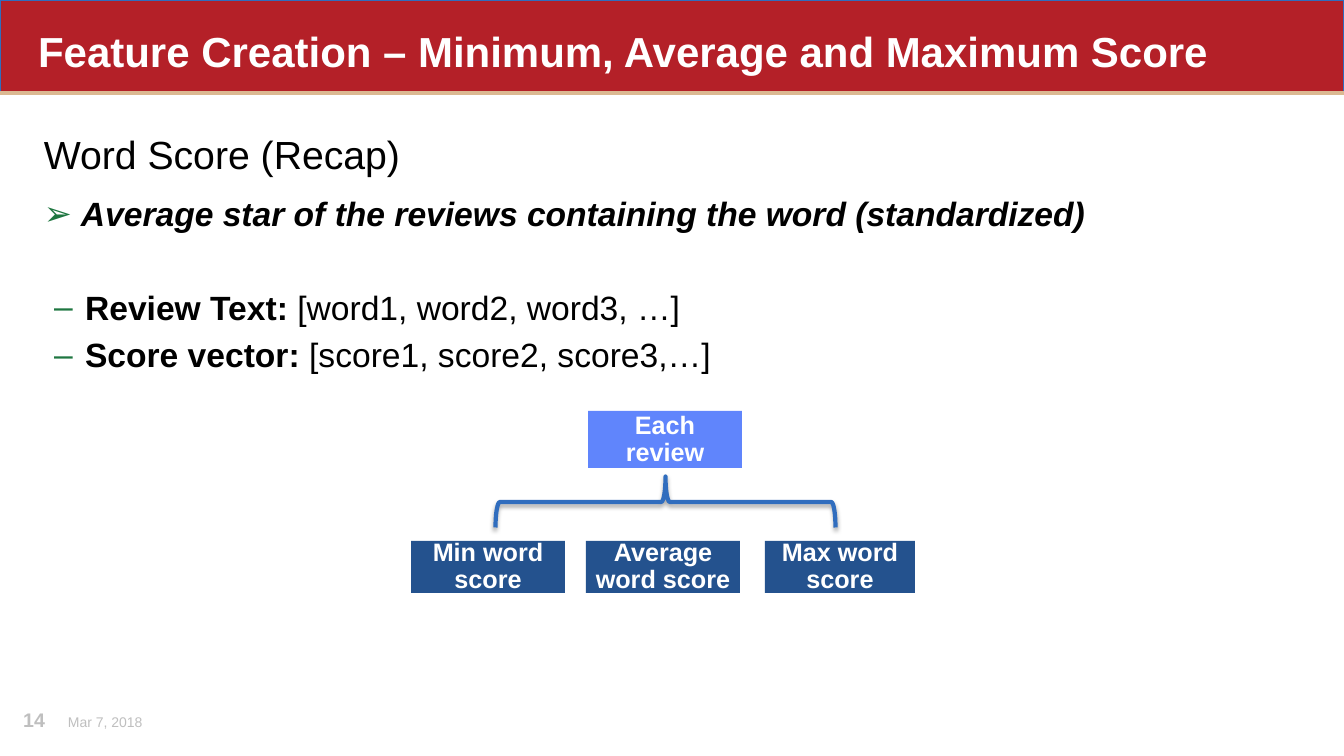
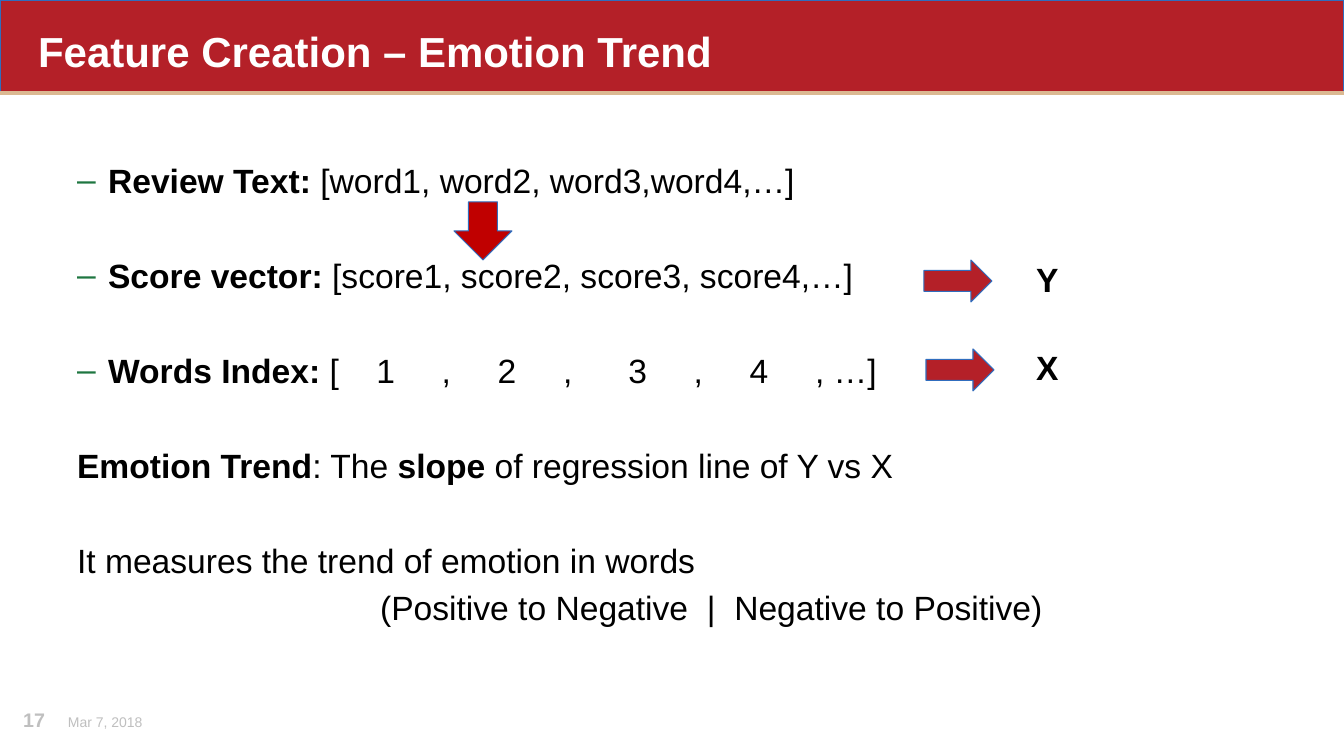
import pptx
import pptx.util
import pptx.dml.color
import pptx.enum.shapes
import pptx.enum.text
import pptx.oxml.ns
import lxml.etree

SHAPE = pptx.enum.shapes.MSO_SHAPE
ALIGN = pptx.enum.text.PP_ALIGN
ANCHOR = pptx.enum.text.MSO_ANCHOR
EMU_PER_PX = 914400 / 100.8
FONT = "Arial"
RED, BLUE, SAND, GREEN = "B42028", "306DBE", "DBB992", "1E7640"
BLACK, WHITE, GREY = "000000", "FFFFFF", "BFBFBF"
NAVY, PERIWINKLE, ARROW_RED = "24528E", "6085FC", "C00000"

WIDTH, HEIGHT, BAND_HEIGHT = 1344, 756, 93
TITLE_AREA = (28, 28, 1269, 53)
DATE, DATE_AREA = "Mar 7, 2018", (58, 712, 425, 20)
NUMBER_AREA = (11, 711, 34, 51)

BODY_SIZE, SPACE_PT = 24, 6.67
DASH = dict(left=69, first=-31, bullet="–", before=8)
PLAIN = dict(left=38, before=8)
WIDE = dict(before=42)

INDEX_TOKENS = [("[", 4), ("1", 5), (",", 5), ("2", 5), (",", 6), ("3", 5),
                (",", 5), ("4", 5), (", …]", 0)]

SCORE_SLIDE = dict(
    title="Feature Creation – Minimum, Average and Maximum Score",
    number="14",
    body_area=(6, 286, 741, 252),
    body=[
        (DASH, [("Review Text:", "b"), (" [word1, word2, word3, …]", "")]),
        (DASH, [("Score vector:", "b"), (" [score1, score2, score3,…]", "")]),
    ])
RECAP_AREA = (34, 131, 1262, 150)
RECAP = [
    (dict(before=14, size=28), [("Word Score (Recap)", "")]),
    (dict(before=14, left=37, first=-37, bullet="➢"),
     [("Average star of the reviews containing the word (standardized)", "bi")]),
]
SCORE_TREE = [
    ("Each review", (588, 411, 154, 57), PERIWINKLE),
    ("Min word score", (411, 541, 154, 52), NAVY),
    ("Average word score", (586, 541, 154, 52), NAVY),
    ("Max word score", (765, 541, 150, 52), NAVY),
]
BRACE_AREA = (640, 332, 51, 340)

TREND_SLIDE = dict(
    title="Feature Creation – Emotion Trend",
    number="17",
    body_area=(29, 159, 1270, 463),
    body=[
        (DASH, [("Review Text:", "b"), (" [word1, word2, word3,word4,…]", "")]),
        (DASH | WIDE, [("Score vector:", "b"),
                       (" [score1, score2, score3, score4,…]", "")]),
        (DASH | WIDE, [("Words Index: ", "b")]
         + [run for token, gap in INDEX_TOKENS
            for run in [(token, "")] + ([(" ", "", gap)] if gap else [])]),
        (PLAIN | WIDE, [("Emotion Trend", "b"), (": The ", ""), ("slope", "b"),
                        (" of regression line of Y vs X", "")]),
        (PLAIN | WIDE, [("It measures the trend of emotion in words", "")]),
        (PLAIN | dict(left=341),
         [("(Positive to Negative", ""), (" ", "", 2), ("|", ""),
          (" ", "", 2), ("Negative to Positive)", "")]),
    ])
TREND_ARROWS = [
    (SHAPE.DOWN_ARROW, (454, 202, 58, 58), ARROW_RED),
    (SHAPE.RIGHT_ARROW, (924, 260, 68, 42), RED),
    (SHAPE.RIGHT_ARROW, (926, 349, 68, 42), RED),
]
AXES = [("Y", (1025, 258, 45, 46)), ("X", (1025, 346, 45, 46))]


def px(length):
    return pptx.util.Emu(round(length * EMU_PER_PX))


def box(area):
    return [px(length) for length in area]


def color(value):
    return pptx.dml.color.RGBColor.from_string(value)


def child(parent, tag, **attributes):
    node = lxml.etree.SubElement(parent, pptx.oxml.ns.qn(tag))
    for key, value in attributes.items():
        node.set(key, str(value))
    return node


def place(shape, area):
    shape.left, shape.top, shape.width, shape.height = box(area)


def write(shape, paragraphs, size=BODY_SIZE, ink=BLACK, align=ALIGN.LEFT,
          anchor=ANCHOR.TOP, spacing=0.9, inset=None):
    frame = shape.text_frame
    frame.word_wrap = True
    frame.auto_size = pptx.enum.text.MSO_AUTO_SIZE.NONE
    frame.vertical_anchor = anchor
    if inset is not None:
        frame.margin_left = frame.margin_right = px(inset)
        frame.margin_top = frame.margin_bottom = px(inset)
    for position, (style, runs) in enumerate(paragraphs):
        paragraph = frame.add_paragraph() if position else frame.paragraphs[0]
        paragraph.alignment = align
        paragraph.line_spacing = spacing
        paragraph.space_before = pptx.util.Pt(style.get("before", 0))
        properties = paragraph._p.get_or_add_pPr()
        properties.set("marL", str(px(style.get("left", 0))))
        properties.set("indent", str(px(style.get("first", 0))))
        if "bullet" in style:
            child(child(properties, "a:buClr"), "a:srgbClr", val=GREEN)
            child(properties, "a:buFont", typeface=FONT)
            child(properties, "a:buChar", char=style["bullet"])
        else:
            child(properties, "a:buNone")
        for text, emphasis, *gap in runs:
            run = paragraph.add_run()
            run.text = text
            run.font.name = FONT
            run.font.size = pptx.util.Pt(style.get("size", size))
            run.font.color.rgb = color(ink)
            run.font.bold = "b" in emphasis
            run.font.italic = "i" in emphasis
            if gap:
                tracking = round((gap[0] - 1) * SPACE_PT * 100)
                run._r.get_or_add_rPr().set("spc", str(tracking))


def add_text(slide, area, paragraphs, **options):
    label = slide.shapes.add_textbox(*box(area))
    write(label, paragraphs, **options)
    return label


def add_figure(slide, kind, area, fill=None, line=None, weight=0.75):
    figure = slide.shapes.add_shape(kind, *box(area))
    figure.shadow.inherit = False
    if fill:
        figure.fill.solid()
        figure.fill.fore_color.rgb = color(fill)
    else:
        figure.fill.background()
    if line:
        figure.line.color.rgb = color(line)
        figure.line.width = pptx.util.Pt(weight)
    else:
        figure.line.fill.background()
    return figure


def add_slide(deck, layout, content):
    slide = deck.slides.add_slide(layout)
    write(slide.shapes.title, [({}, [(content["title"], "b")])],
          size=30, ink=WHITE, spacing=0.85)
    body = slide.placeholders[1]
    place(body, content["body_area"])
    write(body, content["body"])
    add_text(slide, NUMBER_AREA, [({}, [(content["number"], "b")])],
             size=14, ink=GREY, align=ALIGN.RIGHT, inset=0)
    return slide


def dress_layout(layout, slide):
    for holder in list(layout.placeholders):
        if holder.placeholder_format.idx > 1:
            holder.element.getparent().remove(holder.element)
    title = layout.placeholders[0]
    place(title, TITLE_AREA)
    band = add_figure(slide, SHAPE.RECTANGLE, (0, 0, WIDTH, BAND_HEIGHT), RED, BLUE)
    rule = slide.shapes.add_connector(
        pptx.enum.shapes.MSO_CONNECTOR.STRAIGHT,
        *box((0, BAND_HEIGHT, WIDTH, BAND_HEIGHT)))
    rule.line.color.rgb = color(SAND)
    rule.line.width = pptx.util.Pt(3)
    child(rule.element.spPr, "a:effectLst")
    date = add_text(slide, DATE_AREA, [({}, [(DATE, "")])], size=10, ink=GREY,
                    anchor=ANCHOR.MIDDLE, spacing=1.0)
    for part in (band, rule, date):
        title.element.addprevious(part.element)


def draw_score_tree(slide):
    add_text(slide, RECAP_AREA, RECAP)
    brace = add_figure(slide, SHAPE.LEFT_BRACE, BRACE_AREA, line=BLUE, weight=3)
    brace.rotation = 90
    effects = brace.element.spPr.find(pptx.oxml.ns.qn("a:effectLst"))
    shadow = child(effects, "a:outerShdw", blurRad=40000, dist=23000,
                   dir=5400000, rotWithShape=0)
    child(child(shadow, "a:srgbClr", val=BLACK), "a:alpha", val=35000)
    for text, area, fill in SCORE_TREE:
        node = add_figure(slide, SHAPE.RECTANGLE, area, fill)
        write(node, [({}, [(text, "b")])], size=18, ink=WHITE,
              align=ALIGN.CENTER, anchor=ANCHOR.MIDDLE, inset=5)


def draw_trend_axes(slide):
    for kind, area, fill in TREND_ARROWS:
        add_figure(slide, kind, area, fill, BLUE)
    for text, area in AXES:
        add_text(slide, area, [({}, [(text, "b")])], align=ALIGN.CENTER)


def main():
    deck = pptx.Presentation()
    deck.slide_width, deck.slide_height = px(WIDTH), px(HEIGHT)
    layout = deck.slide_layouts[1]
    score = add_slide(deck, layout, SCORE_SLIDE)
    dress_layout(layout, score)
    draw_score_tree(score)
    trend = add_slide(deck, layout, TREND_SLIDE)
    draw_trend_axes(trend)
    deck.save("out.pptx")


if __name__ == "__main__":
    main()
